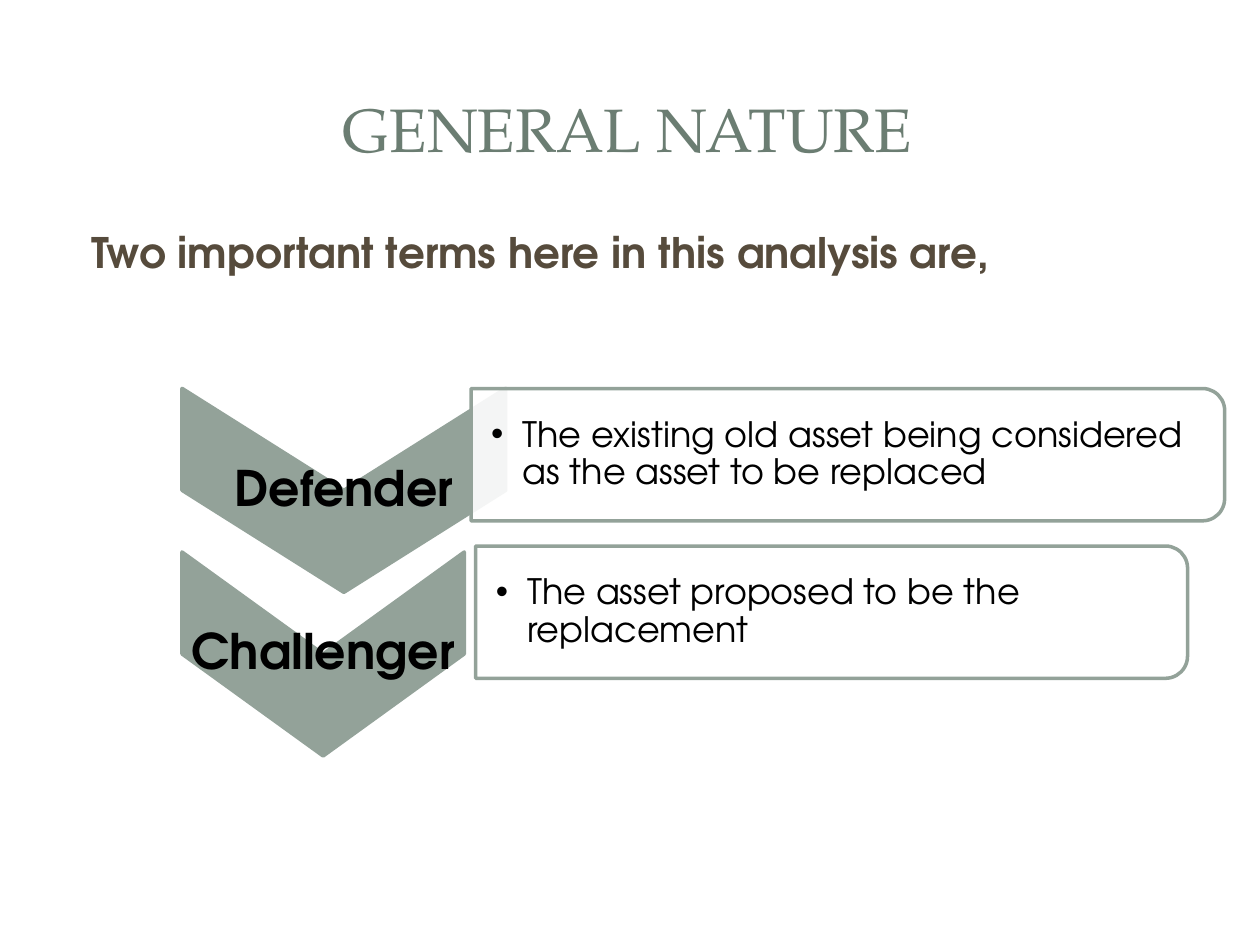
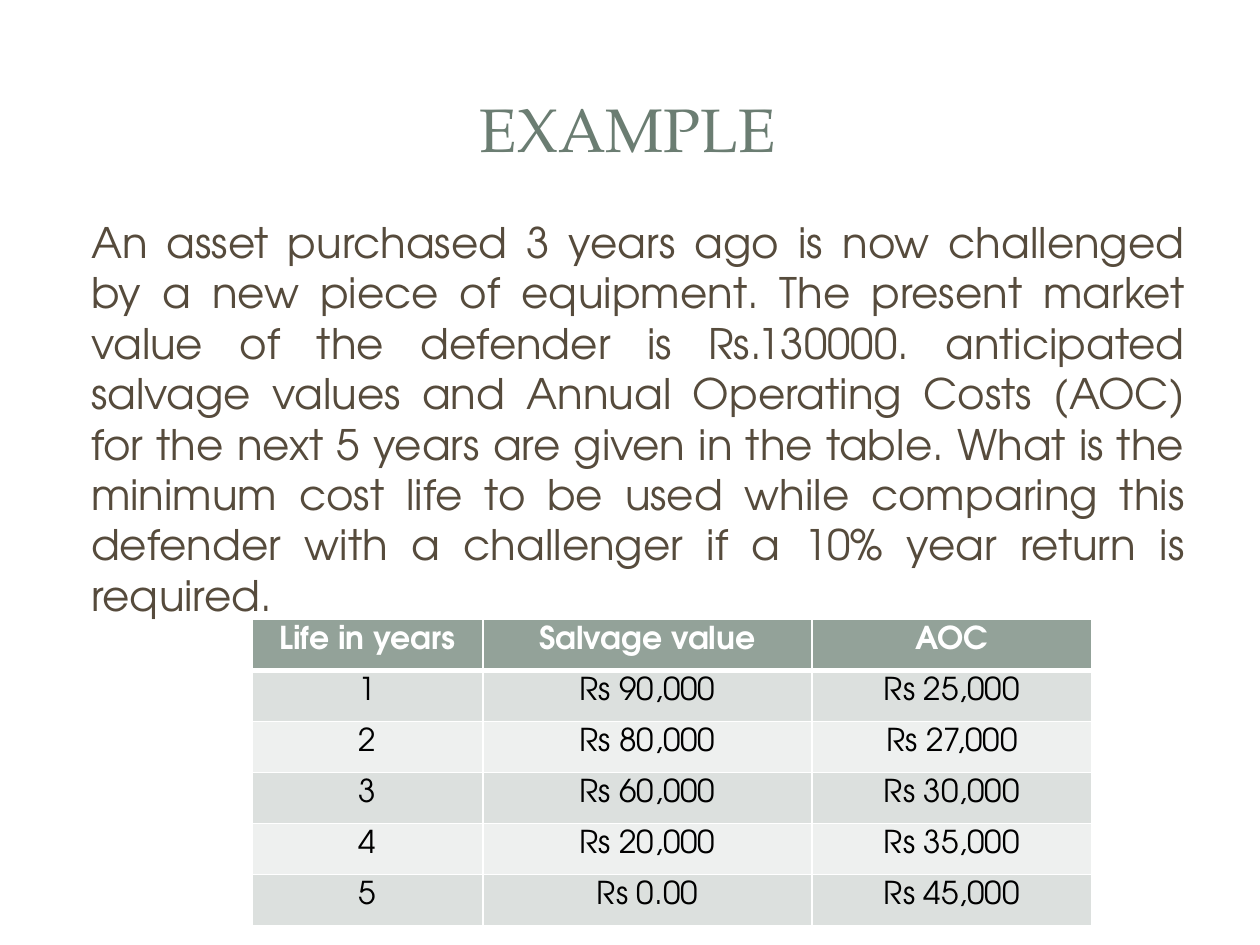
"""Build two slides on replacement analysis: the key terms and a worked example."""
from lxml import etree
from pptx import Presentation
from pptx.dml.color import RGBColor
from pptx.enum.shapes import MSO_SHAPE
from pptx.enum.text import MSO_ANCHOR, PP_ALIGN
from pptx.oxml.ns import qn
from pptx.util import Pt

CHEVRON, TAB = MSO_SHAPE.CHEVRON, MSO_SHAPE.ROUND_2_SAME_RECTANGLE
CARD, BAND = MSO_SHAPE.ROUNDED_RECTANGLE, MSO_SHAPE.RECTANGLE
TOP, MIDDLE = MSO_ANCHOR.TOP, MSO_ANCHOR.MIDDLE
LEFT, CENTER, JUSTIFY = PP_ALIGN.LEFT, PP_ALIGN.CENTER, PP_ALIGN.JUSTIFY

SAGE, WHITE, BLACK, BROWN = "93A299", "FFFFFF", "000000", "564B3C"
BANDS = ["EEF0EF", "DCE0DE"]
SANS = "TeX Gyre Adventor"
hue = RGBColor.from_string

STYLES = {
    "title": ("6B7D72", CENTER, {"name": "TeX Gyre Pagella", "size": Pt(35)}),
    "lead": (BROWN, LEFT, {"name": SANS, "size": Pt(24), "bold": True}),
    "body": (BROWN, JUSTIFY, {"name": SANS, "size": Pt(24)}),
    "term": (BLACK, CENTER, {"name": SANS, "size": Pt(28), "bold": True}),
    "note": (BLACK, LEFT, {"name": SANS, "size": Pt(20)}),
    "head": (WHITE, CENTER, {"name": SANS, "size": Pt(18), "bold": True}),
    "cell": (BLACK, CENTER, {"name": SANS, "size": Pt(18), "bold": False}),
}
PANELS = [
    (CARD, (7.2, 7.9, 705.6, 524.9), 100),
    (BAND, (21.6, 21.6, 676.8, 104.4), 83),
    (BAND, (29.5, 29.5, 660.2, 87.8), 100),
]


def write(frame, text, style, pads=None, anchor=TOP, indent=0, hang=0):
    color, align, font = STYLES[style]
    if pads:
        frame.word_wrap = True
        frame.vertical_anchor = anchor
        for side, pad in zip(("left", "top", "right", "bottom"), pads):
            setattr(frame, f"margin_{side}", Pt(pad))
    para = frame.paragraphs[0]
    props = para._p.get_or_add_pPr()
    props.set("marL", str(Pt(indent)))
    props.set("indent", str(Pt(-hang)))
    if hang:
        etree.SubElement(props, qn("a:buFont")).set("typeface", "Arial")
        etree.SubElement(props, qn("a:buChar")).set("char", "•")
    para.alignment = align
    run = para.add_run()
    run.text = text
    for key, value in font.items():
        setattr(run.font, key, value)
    run.font.color.rgb = hue(color)
    return para


def draw(page, kind, area, fill, solid=100, edge=None):
    shape = page.shapes.add_shape(kind, *map(Pt, area))
    shape.shadow.inherit = False
    shape.fill.solid()
    shape.fill.fore_color.rgb = hue(fill)
    if solid < 100:
        paint = shape.element.spPr.find(qn("a:solidFill"))[0]
        etree.SubElement(paint, qn("a:alpha")).set("val", str(solid * 1000))
    if edge:
        shape.line.color.rgb = hue(edge)
        shape.line.width = Pt(2)
    else:
        shape.line.fill.background()
    return shape


PADS = (7.2, 3.6, 7.2, 3.6)
deck = Presentation()
deck.slide_width, deck.slide_height = Pt(720), Pt(540)
pages = []
for title in ("GENERAL NATURE", "EXAMPLE"):
    page = deck.slides.add_slide(deck.slide_layouts[6])
    for kind, area, solid in PANELS:
        panel = draw(page, kind, area, WHITE, solid)
        if kind == CARD:
            panel.adjustments[0] = 0.017
    box = page.shapes.add_textbox(Pt(33.7), Pt(32.4), Pt(650), Pt(82))
    write(box.text_frame, title, "title", PADS, MIDDLE)
    pages.append(page)
terms, sample = pages

box = terms.shapes.add_textbox(Pt(36), Pt(126), Pt(648), Pt(48))
write(box.text_frame, "Two important terms here in this analysis are,", "lead", PADS, indent=9)

ARROW, BAR = 116.6, 75.6
rows = [
    ("Defender", 221.9, 185, "The existing old asset being considered as the asset to be replaced",
     269.2, 222, 430.6, 427),
    ("Challenger", 315.4, 161.3, "The asset proposed to be the replacement",
     271.8, 312, 406.8, 403.2),
]
for term, top, wide, note, left, high, span, room in rows:
    forms = [
        (CHEVRON, 104, top, wide, ARROW, SAGE, 100, term, "term", wide, 0, (1.4,) * 4, 0),
        (TAB, left, high, span, BAR, WHITE, 90, note, "note", room, 3.6, (11.5, 0.7, 0.7, 0.7), 18),
    ]
    for kind, x, y, width, height, fill, solid, text, style, reach, drop, pads, hang in forms:
        area = (x + (width - height) / 2, y + (height - width) / 2, height, width)
        draw(terms, kind, area, fill, solid, SAGE).rotation = 90
        box = terms.shapes.add_textbox(Pt(x), Pt(y + drop), Pt(reach), Pt(height - 2 * drop))
        para = write(box.text_frame, text, style, pads, MIDDLE, hang, hang)
        para.line_spacing = 0.9

box = sample.shapes.add_textbox(Pt(36), Pt(120.2), Pt(648), Pt(270))
write(box.text_frame,
      "An asset purchased 3 years ago is now challenged by a new piece of equipment. "
      "The present market value of the defender is Rs.130000. anticipated salvage values "
      "and Annual Operating Costs (AOC) for the next 5 years are given in the table. "
      "What is the minimum cost life to be used while comparing this defender with a "
      "challenger if a 10% year return is required.", "body", PADS, indent=9)

costs = [
    ("Life in years", "Salvage value", "AOC"),
    ("1", "Rs 90,000", "Rs 25,000"),
    ("2", "Rs 80,000", "Rs 27,000"),
    ("3", "Rs 60,000", "Rs 30,000"),
    ("4", "Rs 20,000", "Rs 35,000"),
    ("5", "Rs 0.00", "Rs 45,000"),
]
grid = sample.shapes.add_table(6, 3, Pt(144), Pt(354), Pt(480), Pt(175)).table
for column, width in zip(grid.columns, (132, 188, 160)):
    column.width = Pt(width)
for r, line in enumerate(costs):
    grid.rows[r].height = Pt(175 / 6)
    for c, text in enumerate(line):
        cell = grid.cell(r, c)
        props = cell._tc.get_or_add_tcPr()
        for side in "LRTB":
            thick = (r, side) in ((0, "B"), (1, "T"))
            edge = etree.SubElement(props, qn(f"a:ln{side}"), w=str(Pt(3 if thick else 1)))
            paint = etree.SubElement(edge, qn("a:solidFill"))
            etree.SubElement(paint, qn("a:srgbClr")).set("val", WHITE)
        cell.fill.solid()
        cell.fill.fore_color.rgb = hue(BANDS[r % 2] if r else SAGE)
        write(cell.text_frame, text, "cell" if r else "head")

deck.save("out.pptx")
